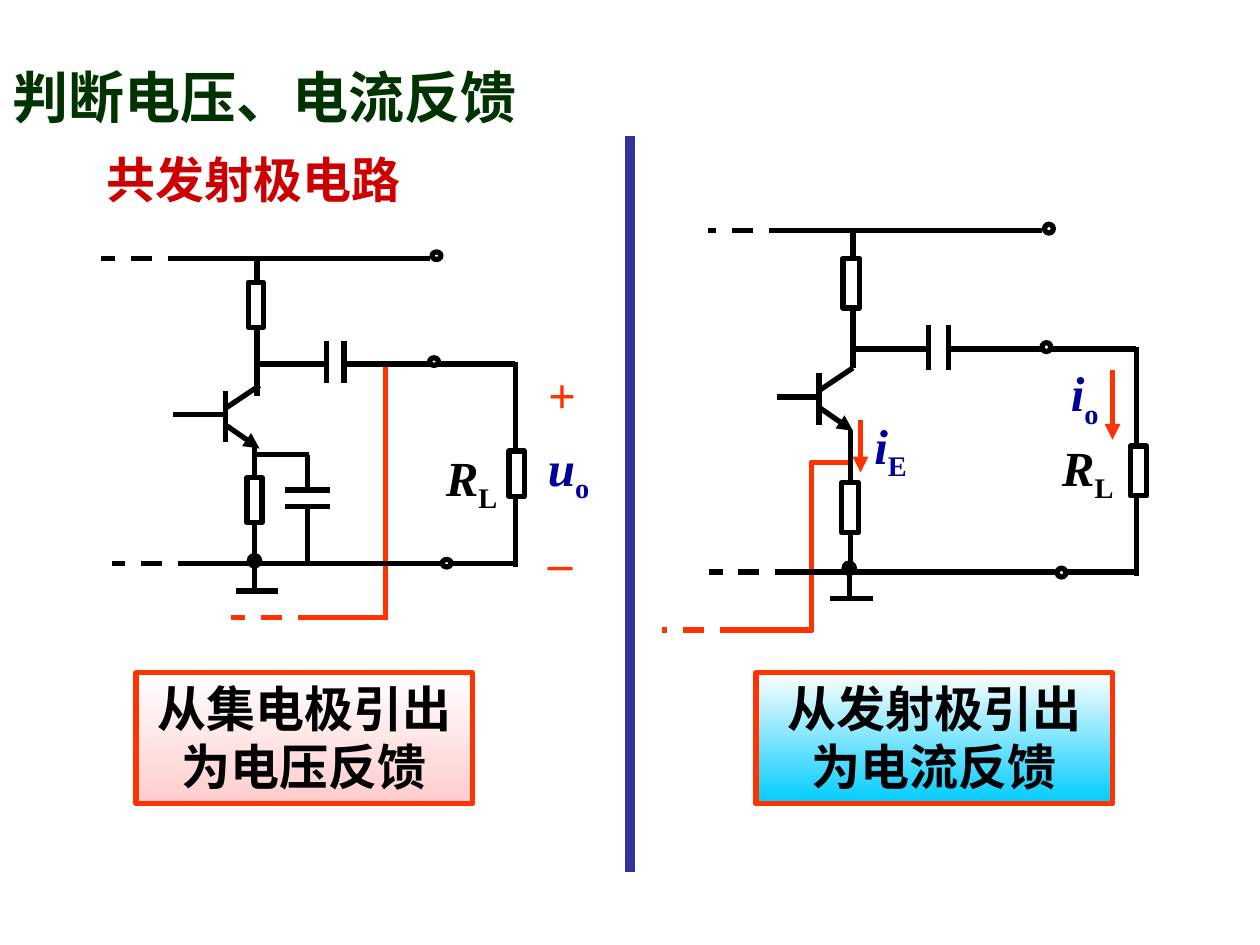
from dataclasses import dataclass
from lxml.etree import SubElement
from pptx import Presentation
from pptx.dml.color import RGBColor as RGB
from pptx.enum.dml import MSO_LINE as DASH
from pptx.enum.shapes import MSO_CONNECTOR as CONN, MSO_SHAPE as SHAPE
from pptx.enum.text import MSO_ANCHOR as ANCHOR, PP_ALIGN as ALIGN
from pptx.oxml.ns import qn
from pptx.util import Inches, Pt


@dataclass(frozen=True)
class Theme:
    ink: str = "000000"
    paper: str = "FFFFFF"
    feedback: str = "FF3300"
    signal: str = "000099"
    title: str = "003300"
    subtitle: str = "CC0000"
    divider: str = "333399"
    cjk: str = "Noto Sans CJK SC"
    latin: str = "Times New Roman"
    title_size: int = 32
    body_size: int = 28
    stroke: int = 3
    leading: float = 1.19


T = Theme()
COLS, ROWS = 100, 75


def cell(n):
    return Inches(n / 10)


def write(tf, text, sub="", size=T.body_size, color=T.ink, font=T.latin, italic=False,
          align=ALIGN.LEFT, anchor=ANCHOR.TOP, wrap=True, leading=None):
    tf.word_wrap = wrap
    tf.vertical_anchor = anchor
    p = tf.paragraphs[0]
    p.alignment = align
    if leading:
        p.line_spacing = Pt(round(size * leading, 1))
    for part, lowered in ((text, False), (sub, True)):
        if not part:
            continue
        r = p.add_run()
        r.text = part
        f = r.font
        f.size, f.bold, f.name = Pt(size), True, font
        f.italic = italic and not lowered
        f.color.rgb = RGB.from_string(color)
        rPr = r._r.get_or_add_rPr()
        SubElement(rPr, qn("a:ea")).set("typeface", T.cjk)
        if lowered:
            rPr.set("baseline", "-25000")


def label(s, box, text, **fmt):
    write(s.shapes.add_textbox(*map(cell, box)).text_frame, text, **fmt)


def wire(s, x1, y1, x2, y2, color=T.ink, width=T.stroke, dash=False, head=None, tail=None):
    c = s.shapes.add_connector(CONN.STRAIGHT, *map(cell, (x1, y1, x2, y2)))
    c.line.color.rgb = RGB.from_string(color)
    c.line.width = Pt(width)
    if dash:
        c.line.dash_style = DASH.DASH
    ln = c.line._get_or_add_ln()
    for tag, kind in (("a:headEnd", head), ("a:tailEnd", tail)):
        if kind:
            SubElement(ln, qn(tag)).set("type", kind)
    SubElement(c._element.spPr, qn("a:effectLst"))


def wires(s, rows, **fmt):
    for row in rows:
        wire(s, *row, **fmt)


def block(s, box, kind=SHAPE.RECTANGLE, fill=None, line=T.ink):
    sp = s.shapes.add_shape(kind, *map(cell, box))
    sp.shadow.inherit = False
    if fill:
        sp.fill.solid()
        sp.fill.fore_color.rgb = RGB.from_string(fill)
    else:
        sp.fill.background()
    sp.line.color.rgb = RGB.from_string(line)
    sp.line.width = Pt(T.stroke)
    return sp


def conclusion(s, box, text, top, bottom):
    sp = block(s, box, line=T.feedback)
    sp.fill.gradient()
    sp.fill.gradient_angle = 270
    for stop, color, pos in zip(sp.fill.gradient_stops, (top, bottom), (0, 1)):
        stop.color.rgb = RGB.from_string(color)
        stop.position = pos
    write(sp.text_frame, text, font=T.cjk, align=ALIGN.CENTER, leading=T.leading)


def resistors(s, scale, corners):
    for x, y in corners:
        block(s, (x, y, 1.2 * scale, 3.6 * scale), fill=T.paper)


def terminals(s, d, corners):
    for x, y in corners:
        block(s, (x, y, 0.7, d), SHAPE.OVAL)


def capacitor(s, gap, plates):
    block(s, gap, fill=T.paper, line=T.paper)
    wires(s, plates)


def transistor(s, x, y, lead):
    wires(s, [(x, y, x, y + 4.1), (x, y + 1.4, x + 2.7, y - 0.4),
              (x, y + 1.9, x - lead, y + 1.9)])
    wire(s, x + 0.1, y + 2.8, x + 2.7, y + 4.6, tail="triangle")


def ground(s, x, y):
    wire(s, x, y, x, y + 2.5, head="oval")
    wire(s, x - 1.5, y + 2.4, x + 1.9, y + 2.4)


def feedback_paths(s):
    wires(s, [(30.6, 28.7, 30.6, 49.2), (30.6, 49, 24, 49),
              (64.4, 36.6, 64.4, 50.2), (64.5, 50, 57.2, 50), (64.3, 36.7, 67.3, 36.7)],
          color=T.feedback)
    wires(s, [(25.3, 49, 18.3, 49), (61.7, 50, 52.5, 50)], color=T.feedback, dash=True)


def voltage_circuit(s):
    wires(s, [(20.2, 35.4, 20.2, 44.6), (20.4, 31.4, 20.4, 20.4), (20.2, 28.9, 34.1, 28.9),
              (20.2, 36.1, 24.5, 36.1), (24.4, 36.1, 24.4, 38.9), (24.4, 40.1, 24.4, 44.7),
              (34.9, 44.7, 14.9, 44.7), (34.1, 20.5, 14.9, 20.5), (34.6, 28.9, 40.9, 28.9),
              (40.9, 28.7, 40.9, 45), (35.8, 44.7, 40.9, 44.7)])
    wires(s, [(15, 20.5, 8, 20.5), (15.8, 44.7, 8.9, 44.7)], dash=True)
    transistor(s, 17.9, 31, 4.2)
    terminals(s, 0.6, [(34.3, 20), (34.1, 28.4), (35.1, 44.4)])
    resistors(s, 1, [(19.7, 22.4), (19.6, 37.9), (40.4, 35.8)])
    capacitor(s, (22.8, 39, 3.3, 1.1), [(22.6, y, 26.2, y) for y in (38.9, 40.2)])
    capacitor(s, (26.1, 27.3, 1.2, 2.9), [(x, 27.1, x, 30.4) for x in (25.9, 27.3)])
    ground(s, 20.2, 44.5)
    label(s, (42.5, 34.2, 9.7, 6.3), "u", sub="o", color=T.signal, italic=True)
    label(s, (34.4, 35, 9.7, 6.3), "R", sub="L", italic=True)
    for sign, y, w in (("+", 28.4, 4.2), ("–", 41.7, 3.9)):
        label(s, (42.5, y, w, 5.7), sign, color=T.feedback, align=ALIGN.CENTER,
              anchor=ANCHOR.MIDDLE, wrap=False)


def current_circuit(s):
    wires(s, [(67.5, 34.1, 67.5, 45.4), (67.7, 29.2, 67.7, 18.4), (67.5, 27.7, 82.7, 27.7),
              (83.7, 45.4, 61.7, 45.4), (82.7, 18.3, 61.7, 18.3), (83.3, 27.7, 90.2, 27.7),
              (90.2, 27.5, 90.2, 45.7), (84.6, 45.4, 90.2, 45.4)])
    wires(s, [(65.6, 18.3, 56.2, 18.3), (63.2, 45.4, 56.3, 45.4)], dash=True)
    terminals(s, 0.7, [(82.9, 17.8), (82.7, 27.2), (83.9, 45.1)])
    resistors(s, 1.1, [(66.9, 20.5), (66.8, 38.3), (89.7, 35.4)])
    capacitor(s, (73.9, 25.9, 1.3, 3.3), [(x, 25.8, x, 29.4) for x in (73.7, 75.3)])
    label(s, (83.3, 34.2, 10.7, 6.3), "R", sub="L", italic=True)
    label(s, (84, 28.3, 6.8, 6.3), "i", sub="o", color=T.signal, italic=True)
    wires(s, [(88.3, 29.4, 88.3, 34.9), (68.3, 33.3, 68.3, 37.5)],
          color=T.feedback, tail="triangle")
    label(s, (68.4, 32.5, 8.2, 6.3), "i", sub="E", color=T.signal, italic=True)
    transistor(s, 65, 29.6, 3.3)
    ground(s, 67.4, 45.1)


def main():
    prs = Presentation()
    prs.slide_width, prs.slide_height = cell(COLS), cell(ROWS)
    s = prs.slides.add_slide(prs.slide_layouts[6])
    label(s, (7.5, 11.4, 29.2, 5.7), "共发射极电路", color=T.subtitle, font=T.cjk,
          leading=T.leading)
    wire(s, COLS / 2, 10.8, COLS / 2, 69.2, color=T.divider, width=2 * T.stroke)
    label(s, (0, 4.5, 54.2, 6.4), "判断电压、电流反馈", size=T.title_size, color=T.title,
          leading=T.leading)
    feedback_paths(s)
    conclusion(s, (10.8, 53.4, 26.7, 10.4), "从集电极引出为电压反馈", "FFFFFF", "FFCCCC")
    conclusion(s, (60, 53.4, 28.3, 10.4), "从发射极引出为电流反馈", "FEFEFE", "00CCFF")
    voltage_circuit(s)
    current_circuit(s)
    prs.save("out.pptx")


if __name__ == "__main__":
    main()
